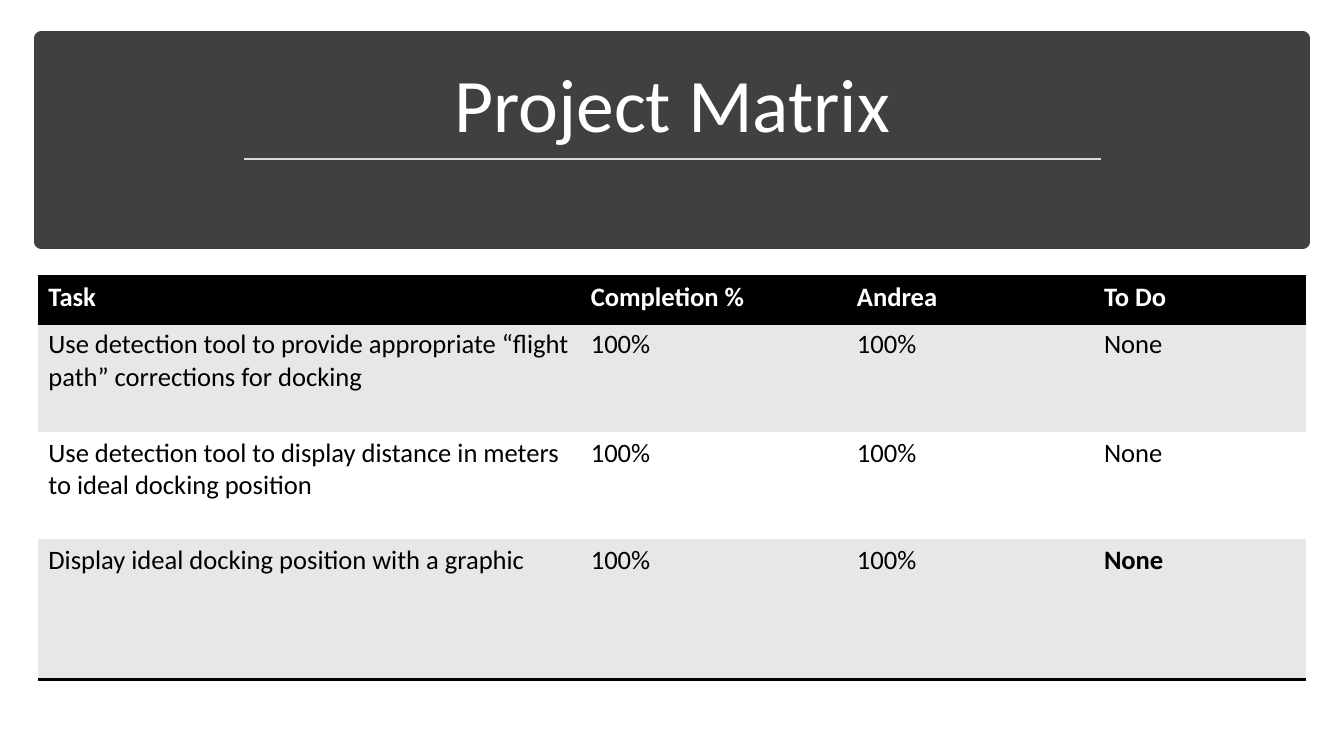
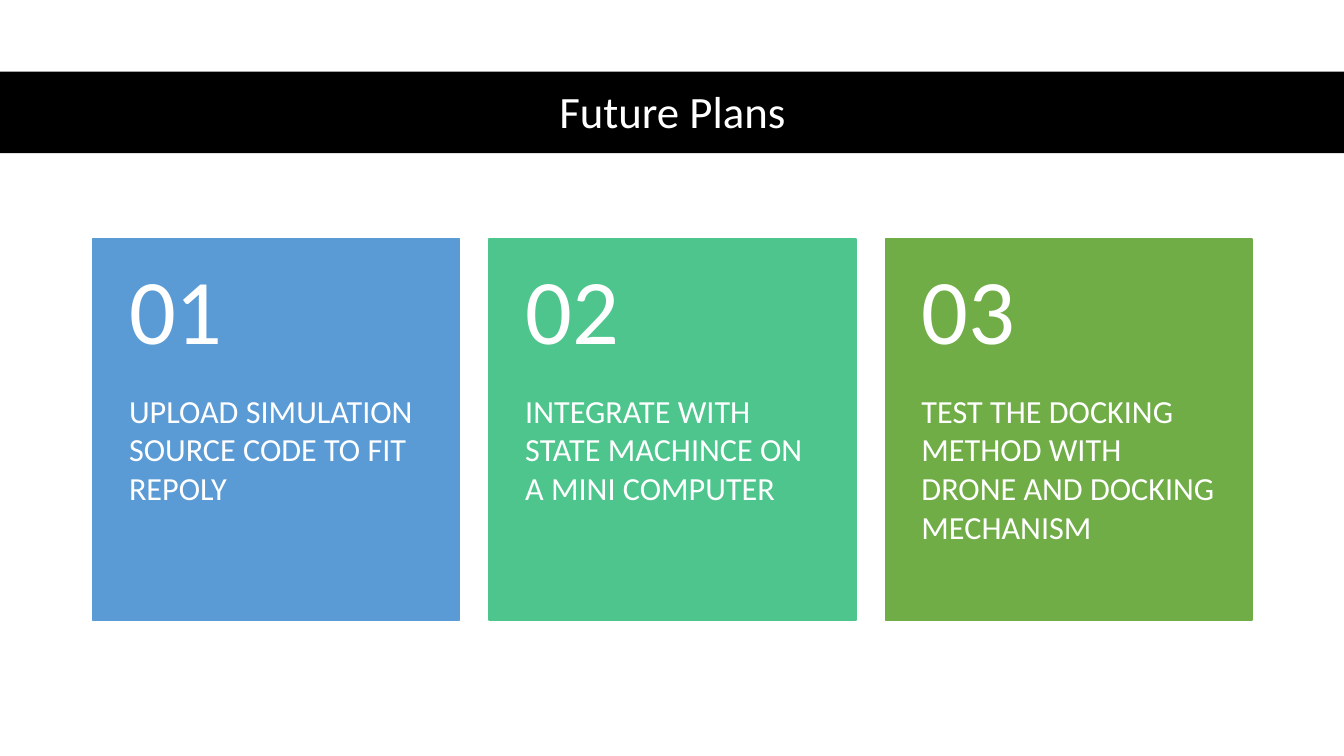
from lxml.etree import SubElement
from pptx import Presentation
from pptx.dml.color import RGBColor
from pptx.enum.shapes import MSO_CONNECTOR, MSO_SHAPE
from pptx.enum.text import MSO_ANCHOR, MSO_AUTO_SIZE, PP_ALIGN
from pptx.oxml import parse_xml
from pptx.oxml.ns import nsdecls, qn
from pptx.util import Inches, Pt

FONT = "Calibri"
WHITE = RGBColor(0xFF, 0xFF, 0xFF)
BLACK = RGBColor(0, 0, 0)
CHARCOAL = RGBColor(0x40, 0x40, 0x40)
RULE_GREY = RGBColor(0xD9, 0xD9, 0xD9)
ROW_GREY = RGBColor(0xE7, 0xE7, 0xE7)
BLUE = RGBColor(0x5B, 0x9B, 0xD5)
TEAL = RGBColor(0x4D, 0xC5, 0x8D)
GREEN = RGBColor(0x70, 0xAD, 0x47)
NO_GRID_STYLE = "{2D5ABB26-0587-4C30-8999-92F81FD0307C}"

COL_WIDTHS = (5.38, 2.64, 2.45, 2.1)
ROW_HEIGHTS = (0.47, 1.08, 1.06, 1.39)
TASKS = (
    ("Task", "Completion %", "Andrea", "To Do"),
    ("Use detection tool to provide appropriate “flight path” corrections for docking",
     "100%", "100%", "None"),
    ("Use detection tool to display distance in meters to ideal docking position",
     "100%", "100%", "None"),
    ("Display ideal docking position with a graphic", "100%", "100%", "None"),
)
PLANS = (
    ("UPLOAD SIMULATION SOURCE CODE TO FIT REPOLY", BLUE),
    ("INTEGRATE WITH STATE MACHINCE ON A MINI COMPUTER", TEAL),
    ("TEST THE DOCKING METHOD WITH DRONE AND DOCKING MECHANISM", GREEN),
)


def box(*lengths):
    """Turn left, top, width and height in inches into lengths."""
    return [Inches(n) for n in lengths]


def add_run(p, text, size, color, bold=False):
    """Add one formatted run to a paragraph."""
    r = p.add_run()
    r.text = text
    r.font.name = FONT
    r.font.size = Pt(size)
    r.font.bold = bold
    r.font.color.rgb = color


def set_margins(target, margins):
    """Set left, top, right and bottom insets of a frame or cell."""
    (target.margin_left, target.margin_top,
     target.margin_right, target.margin_bottom) = box(*margins)


def add_rect(s, at, fill, line_width=0):
    """Add a flat rectangle, outlined in its own colour if a width is given."""
    sp = s.shapes.add_shape(MSO_SHAPE.RECTANGLE, *box(*at))
    sp.shadow.inherit = False
    sp.fill.solid()
    sp.fill.fore_color.rgb = fill
    if line_width:
        sp.line.color.rgb = fill
        sp.line.width = Pt(line_width)
    else:
        sp.line.fill.background()
    return sp


def add_text(s, at, text, size, margins, anchor=MSO_ANCHOR.TOP, spacing=1.0):
    """Add a wrapped white text box."""
    tf = s.shapes.add_textbox(*box(*at)).text_frame
    tf.word_wrap = True
    tf.vertical_anchor = anchor
    set_margins(tf, margins)
    p = tf.paragraphs[0]
    p.line_spacing = spacing
    add_run(p, text, size, WHITE)


def add_titled_slide(prs, text, size, at, anchor, band):
    """Add a slide with a white centred title in front of a band."""
    s = prs.slides.add_slide(prs.slide_layouts[5])
    title = s.shapes.title
    title.left, title.top, title.width, title.height = box(*at)
    title.element.addprevious(add_rect(s, *band).element)
    tf = title.text_frame
    tf.auto_size = MSO_AUTO_SIZE.NONE
    tf.word_wrap = True
    tf.vertical_anchor = anchor
    p = tf.paragraphs[0]
    p.alignment = PP_ALIGN.CENTER
    p.line_spacing = 0.9
    add_run(p, text, size, WHITE)
    return s


def add_rule(s, x1, x2, y):
    """Add a thin horizontal rule."""
    line = s.shapes.add_connector(MSO_CONNECTOR.STRAIGHT, *box(x1, y, x2, y))
    line.line.color.rgb = RULE_GREY
    line.line.width = Pt(1.75)
    SubElement(line.element.spPr, qn("a:effectLst"))


def add_borders(cell, sides):
    """Draw black borders on the named sides of a cell, in schema order."""
    tc_pr = cell._tc.get_or_add_tcPr()
    for i, side in enumerate(sides):
        tc_pr.insert(i, parse_xml(
            f'<a:ln{side} {nsdecls("a")} w="{Pt(2)}"><a:solidFill>'
            f'<a:srgbClr val="{BLACK}"/></a:solidFill></a:ln{side}>'))


def add_task_table(s, left, top):
    """Add the task table with a black header and alternating rows."""
    frame = s.shapes.add_table(
        len(TASKS), len(COL_WIDTHS),
        *box(left, top, sum(COL_WIDTHS), sum(ROW_HEIGHTS)))
    table = frame.table
    table._tbl.tblPr.find(qn("a:tableStyleId")).text = NO_GRID_STYLE
    for column, width in zip(table.columns, COL_WIDTHS):
        column.width = Inches(width)
    last = len(TASKS) - 1, len(COL_WIDTHS) - 1
    for i, values in enumerate(TASKS):
        table.rows[i].height = Inches(ROW_HEIGHTS[i])
        header = i == 0
        fill = BLACK if header else ROW_GREY if i % 2 else WHITE
        for j, value in enumerate(values):
            cell = table.cell(i, j)
            cell.fill.solid()
            cell.fill.fore_color.rgb = fill
            set_margins(cell, (0.1, 0.05, 0.1, 0.05))
            add_run(cell.text_frame.paragraphs[0], value, 19,
                    WHITE if header else BLACK, header or (i, j) == last)
            if header:
                add_borders(cell, "TB")
            elif i == last[0]:
                add_borders(cell, "B")


def add_plan_card(s, number, text, color):
    """Add one numbered plan card at its place in the row."""
    width, gap, top, head, body = 3.64, 0.29, 2.37, 1.51, 2.27
    left = 0.92 + (number - 1) * (width + gap)
    add_rect(s, (left, top, width, head + body), color, 1)
    add_text(s, (left, top + head, width, body), text, 23,
             (0.36, 0, 0.36, 0.36))
    add_text(s, (left, top, width, head), f"{number:02}", 66,
             (0.36, 0.18, 0.36, 0.18), MSO_ANCHOR.MIDDLE, 0.9)


def main():
    """Build and save the presentation."""
    prs = Presentation()
    prs.slide_width, prs.slide_height = Inches(13.33), Inches(7.5)

    s = add_titled_slide(prs, "Project Matrix", 54, (0.58, 0.51, 12.18, 1.02),
                         MSO_ANCHOR.BOTTOM,
                         ((0.41, 0.38, 12.51, 2.02), CHARCOAL, 10))
    add_rule(s, 2.42, 10.92, 1.58)
    add_task_table(s, 0.38, 2.74)

    s = add_titled_slide(prs, "Future Plans", 32, (0.92, 0.74, 11.5, 0.78),
                         MSO_ANCHOR.MIDDLE, ((0, 0.71, 13.33, 0.81), BLACK))
    for number, (text, color) in enumerate(PLANS, 1):
        add_plan_card(s, number, text, color)

    prs.save("out.pptx")


if __name__ == "__main__":
    main()
